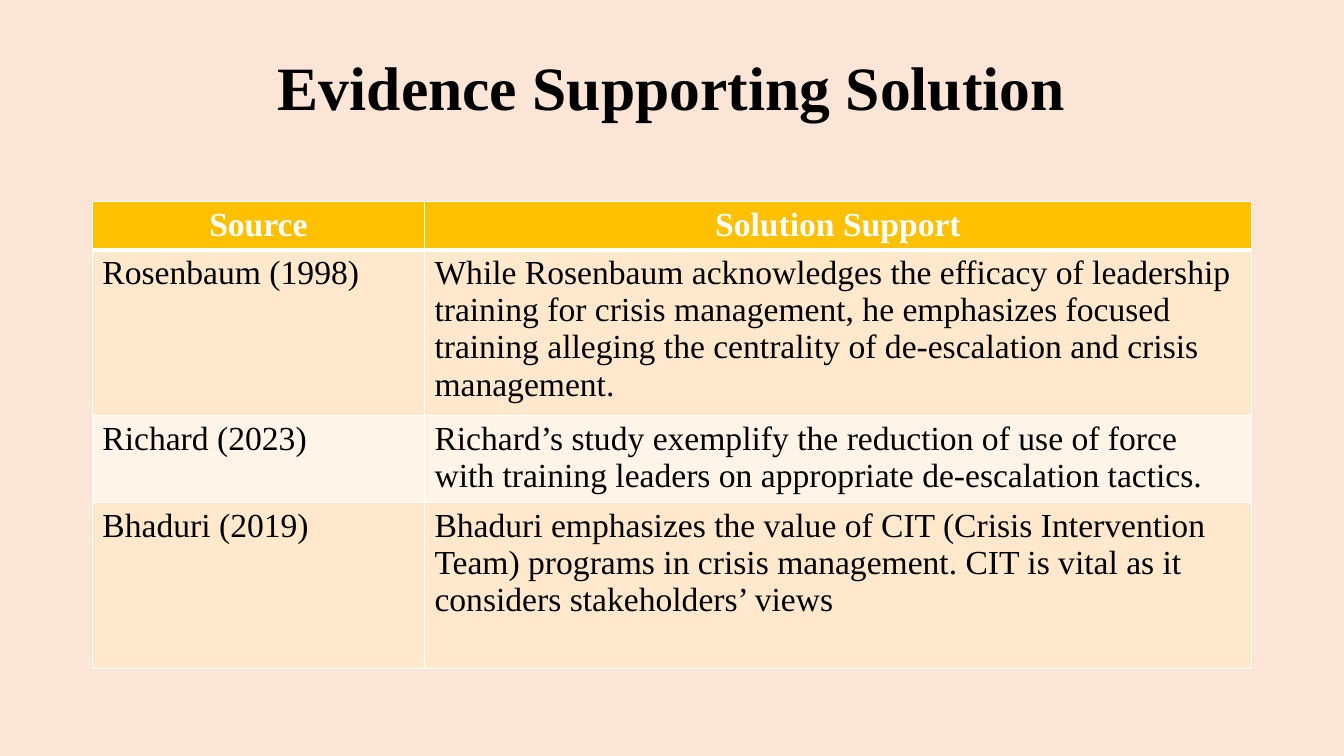
from dataclasses import dataclass

from lxml import etree
from pptx import Presentation
from pptx.dml.color import RGBColor
from pptx.enum.text import MSO_ANCHOR, PP_ALIGN
from pptx.oxml.ns import qn
from pptx.table import Table, _Cell
from pptx.text.text import TextFrame
from pptx.util import Pt

CENTER, LEFT = PP_ALIGN.CENTER, PP_ALIGN.LEFT
MIDDLE = MSO_ANCHOR.MIDDLE
TITLE_ONLY = 5

FONT = "Times New Roman"
BACKGROUND, BLACK, WHITE = "FBE5D6", "000000", "FFFFFF"
HEADER_FILL = "FFC000"
BAND_FILLS = ("FFE8CC", "FFF4E7")

MARGIN, CONTENT_WIDTH = 66, 828
COLUMN_WIDTHS = (237.2, 590.8)
THIN, THICK = 1, 3


@dataclass
class EvidenceRow:
    source: str
    support: str
    height: float


HEADER = EvidenceRow("Source", "Solution Support", 34.4)
EVIDENCE = [
    EvidenceRow(
        "Rosenbaum (1998)",
        "While Rosenbaum acknowledges the efficacy of leadership training for "
        "crisis management, he emphasizes focused training alleging the "
        "centrality of de-escalation and crisis management.",
        118.4,
    ),
    EvidenceRow(
        "Richard (2023)",
        "Richard’s study exemplify the reduction of use of force with training "
        "leaders on appropriate de-escalation tactics.",
        62.3,
    ),
    EvidenceRow(
        "Bhaduri (2019)",
        "Bhaduri emphasizes the value of CIT (Crisis Intervention Team) programs "
        "in crisis management. CIT is vital as it considers stakeholders’ views",
        118.4,
    ),
]


def color(hex_code: str) -> RGBColor:
    return RGBColor.from_string(hex_code)


def write_text(frame: TextFrame, text: str, *, size: float = 24,
               text_color: str = BLACK, bold: bool = False,
               align: PP_ALIGN = LEFT, line_spacing: float = 1.0) -> None:
    frame.word_wrap = True
    paragraph = frame.paragraphs[0]
    paragraph.alignment = align
    paragraph.line_spacing = line_spacing
    run = paragraph.add_run()
    run.text = text
    run.font.name = FONT
    run.font.size = Pt(size)
    run.font.bold = bold
    run.font.color.rgb = color(text_color)


def set_borders(cell: _Cell, *, top: float, bottom: float) -> None:
    properties = cell._tc.get_or_add_tcPr()
    widths = {"a:lnL": THIN, "a:lnR": THIN, "a:lnT": top, "a:lnB": bottom}
    for tag, width in widths.items():
        line = etree.SubElement(properties, qn(tag), w=str(Pt(width)))
        fill = etree.SubElement(line, qn("a:solidFill"))
        etree.SubElement(fill, qn("a:srgbClr"), val=WHITE)


def draw_row(table: Table, index: int, row: EvidenceRow) -> None:
    is_header = index == 0
    table.rows[index].height = Pt(row.height)
    for column, text in enumerate((row.source, row.support)):
        cell = table.cell(index, column)
        # Borders come before the fill in the cell properties
        set_borders(cell, top=THICK if index == 1 else THIN,
                    bottom=THICK if is_header else THIN)
        cell.fill.solid()
        cell.fill.fore_color.rgb = color(
            HEADER_FILL if is_header else BAND_FILLS[(index - 1) % 2])
        write_text(cell.text_frame, text, bold=is_header,
                   text_color=WHITE if is_header else BLACK,
                   align=CENTER if is_header else LEFT)


def main() -> None:
    presentation = Presentation()
    presentation.slide_width, presentation.slide_height = Pt(960), Pt(540)
    slide = presentation.slides.add_slide(presentation.slide_layouts[TITLE_ONLY])
    slide.background.fill.solid()
    slide.background.fill.fore_color.rgb = color(BACKGROUND)

    # Title
    title = slide.shapes.title
    title.left, title.top = Pt(MARGIN), Pt(28.8)
    title.width, title.height = Pt(CONTENT_WIDTH), Pt(71.3)
    title.text_frame.vertical_anchor = MIDDLE
    write_text(title.text_frame, "Evidence Supporting Solution", size=44,
               bold=True, align=CENTER, line_spacing=0.9)

    # Evidence table
    rows = [HEADER, *EVIDENCE]
    table = slide.shapes.add_table(
        len(rows), len(COLUMN_WIDTHS), Pt(MARGIN), Pt(144), Pt(CONTENT_WIDTH),
        Pt(sum(row.height for row in rows))).table
    for column, width in zip(table.columns, COLUMN_WIDTHS):
        column.width = Pt(width)
    for index, row in enumerate(rows):
        draw_row(table, index, row)

    presentation.save("out.pptx")


if __name__ == "__main__":
    main()
